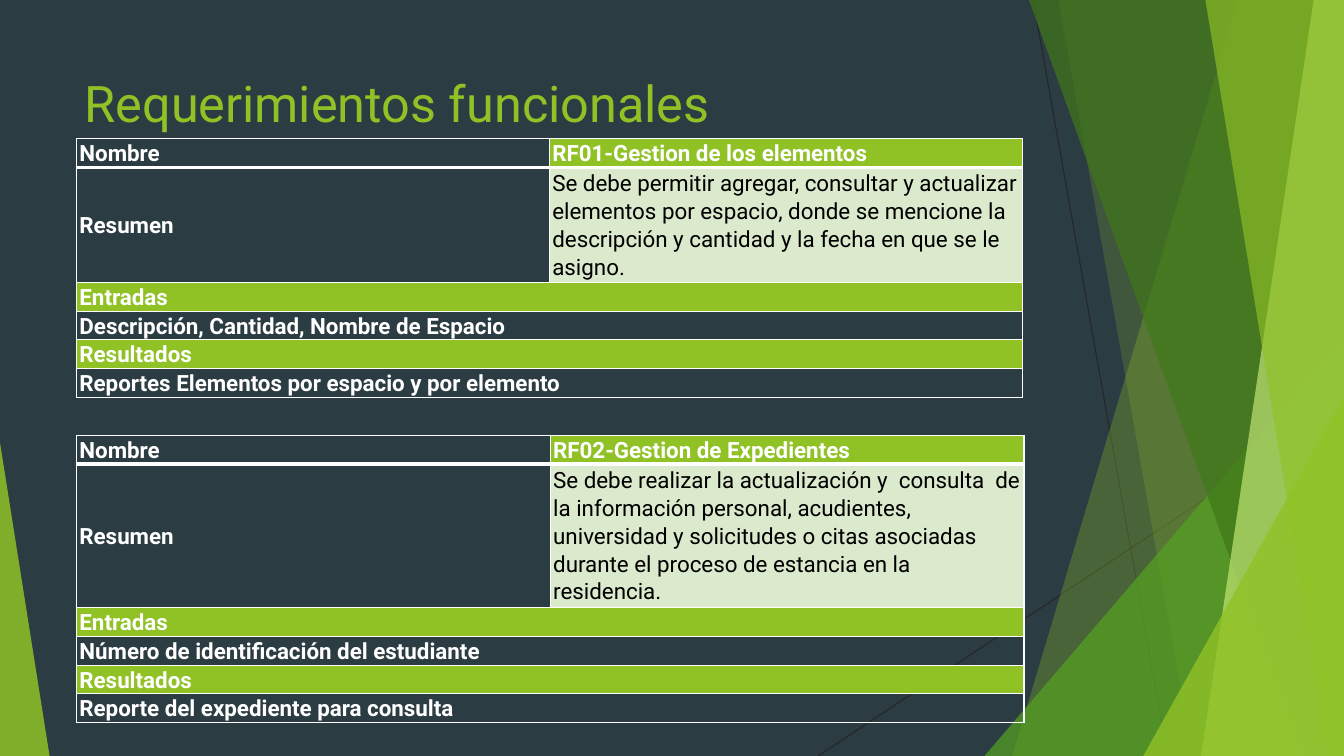
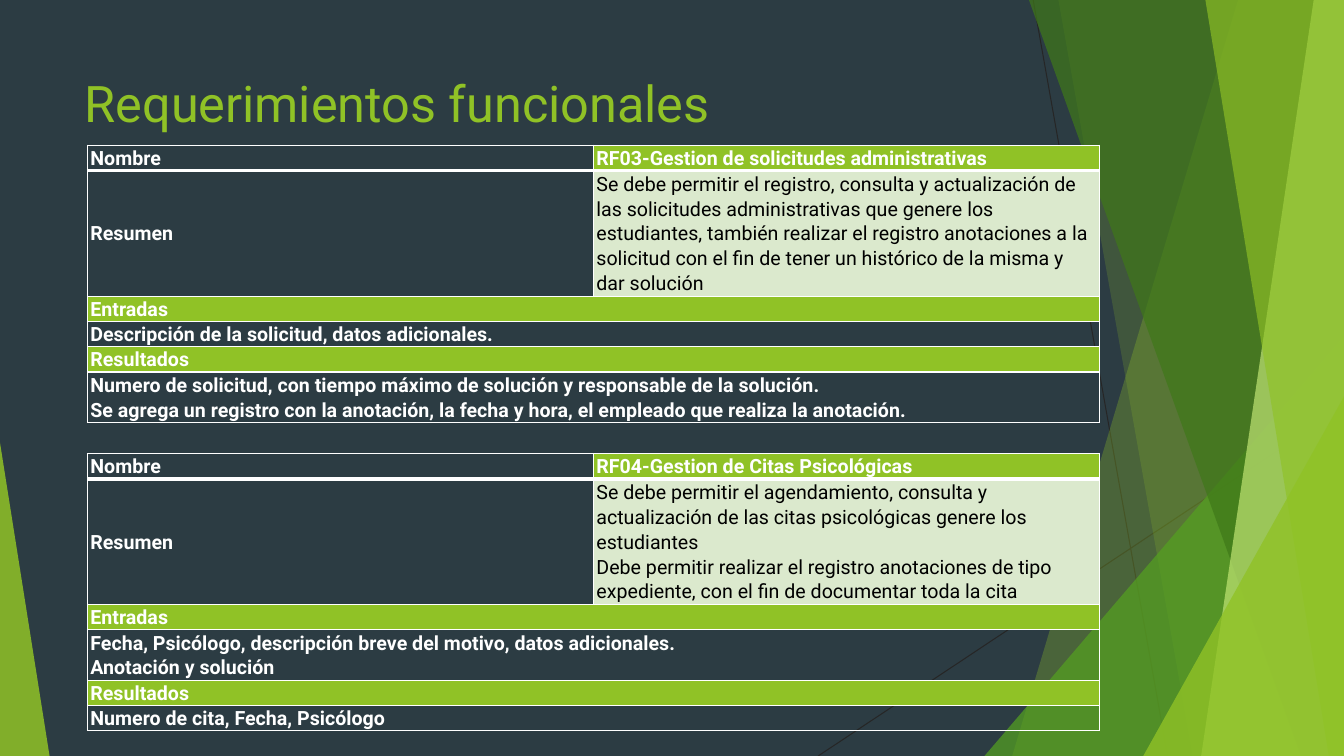
import pptx
import pptx.util
import pptx.dml.color
import pptx.enum.shapes
import pptx.enum.text
import pptx.oxml
import pptx.oxml.ns

COLS, ROWS = 160, 90            # slide grid: 12 units to the inch
UNIT = pptx.util.Inches(1) // 12
FONT = "Roboto"
DARK, GREEN, PALE = "2C3C43", "90C226", "DBE9CD"
WHITE, BLACK, HAIRLINE = "FFFFFF", "000000", "262626"
TITLE_BOX = (8.9, 8, 112.8, 8.5)
LINE_PITCH = 0.2                # grid rows per point of text size

# Facet decoration, back to front
RAYS = [((123, 0), (139, ROWS)), ((COLS, 48.4), (97.4, ROWS))]
# Bands reach the right edge: top x, bottom x, colour, opacity
# Corners: left, top, width, apex share, colour, opacity
FACETS = [
    ("band", (147.4, 120.5), GREEN, 30),
    ("band", (126, 142), GREEN, 20),
    ("corner", (117.2, 40, 42.8, 1), "54A021", 72),
    ("band", (122.5, 154.9), "3F7819", 70),
    ("band", (156.4, 143), "C0E474", 70),
    ("band", (143.5, 158.2), GREEN, 65),
    ("corner", (136.1, 47.2, 23.9, 1), GREEN, 80),
    ("corner", (0, 52.7, 5.9, 0), GREEN, 85),
]

# Each slide: text size, then its tables with box (left, top, width),
# name, summary, summary line count, inputs, results
SLIDES = [
    (16, [
        ((9.1, 16.5, 112.6), "RF01-Gestion de los elementos",
         ["Se debe permitir agregar, consultar y actualizar elementos por "
          "espacio, donde se mencione la descripción y cantidad y la fecha "
          "en que se le asigno."], 4,
         ["Descripción, Cantidad, Nombre de Espacio"],
         ["Reportes Elementos por espacio y por elemento"]),
        ((9.1, 51.8, 112.8), "RF02-Gestion de Expedientes",
         ["Se debe realizar la actualización y  consulta  de la información "
          "personal, acudientes, universidad y solicitudes o citas asociadas "
          "durante el proceso de estancia en la residencia."], 5,
         ["Número de identificación del estudiante"],
         ["Reporte del expediente para consulta"]),
    ]),
    (14, [
        ((10.4, 17.3, 120.5), "RF03-Gestion de solicitudes administrativas",
         ["Se debe permitir el registro, consulta y actualización de las "
          "solicitudes administrativas que genere los estudiantes, también "
          "realizar el registro anotaciones a la solicitud con el fin de "
          "tener un histórico de la misma y dar solución"], 5,
         ["Descripción de la solicitud, datos adicionales."],
         ["Numero de solicitud, con tiempo máximo de solución y responsable "
          "de la solución.",
          "Se agrega un registro con la anotación, la fecha y hora, el "
          "empleado que realiza la anotación."]),
        ((10.4, 54, 120.5), "RF04-Gestion de Citas Psicológicas",
         ["Se debe permitir el agendamiento, consulta y actualización de las "
          "citas psicológicas genere los estudiantes",
          "Debe permitir realizar el registro anotaciones de tipo "
          "expediente, con el fin de documentar toda la cita"], 5,
         ["Fecha, Psicólogo, descripción breve del motivo, datos "
          "adicionales.", "Anotación y solución"],
         ["Numero de cita, Fecha, Psicólogo"]),
    ]),
]


def grid(*units):
    return [pptx.util.Emu(round(u * UNIT)) for u in units]


def rgb(hex_code):
    return pptx.dml.color.RGBColor.from_string(hex_code)


def write(tf, paragraphs, size=16, color=WHITE, bold=False, spacing=None):
    for i, text in enumerate(paragraphs):
        p = tf.paragraphs[0] if i == 0 else tf.add_paragraph()
        p.line_spacing = spacing
        r = p.add_run()
        r.text = text
        r.font.name, r.font.size = FONT, pptx.util.Pt(size)
        r.font.color.rgb, r.font.bold = rgb(color), bold


def paint(sp, color, opacity):
    sp.shadow.inherit = False
    sp.fill.solid()
    sp.fill.fore_color.rgb = rgb(color)
    sp.line.fill.background()
    tint = sp.fill._xPr.find(".//" + pptx.oxml.ns.qn("a:srgbClr"))
    alpha = tint.makeelement(pptx.oxml.ns.qn("a:alpha"), {"val": str(opacity * 1000)})
    tint.append(alpha)


def draw_facets(s):
    for start, end in RAYS:
        ray = s.shapes.add_connector(pptx.enum.shapes.MSO_CONNECTOR.STRAIGHT,
                                     *grid(*start, *end))
        ray.line.color.rgb = rgb(HAIRLINE)
        ray.line.width = pptx.util.Pt(0.75)
        sp_pr = ray._element.spPr
        sp_pr.append(sp_pr.makeelement(pptx.oxml.ns.qn("a:effectLst"), {}))
    for kind, place, color, opacity in FACETS:
        if kind == "band":
            top, bottom = place
            outline = s.shapes.build_freeform(*grid(top, 0))
            outline.add_line_segments(
                [grid(COLS, 0), grid(COLS, ROWS), grid(bottom, ROWS)], close=True)
            sp = outline.convert_to_shape()
        else:
            left, top, width, apex = place
            sp = s.shapes.add_shape(
                pptx.enum.shapes.MSO_SHAPE.ISOSCELES_TRIANGLE,
                *grid(left, top, width, ROWS - top))
            sp.adjustments[0] = apex
        paint(sp, color, opacity)


def draw_title(s, text):
    tf = s.shapes.add_textbox(*grid(*TITLE_BOX)).text_frame
    tf.word_wrap = True
    write(tf, [text], size=36, color=GREEN)


def set_borders(cell, **widths):
    tc_pr = cell._tc.get_or_add_tcPr()
    for i, side in enumerate("LRTB"):
        width = pptx.util.Pt(widths.get(side, 1))
        tc_pr.insert(i, pptx.oxml.parse_xml(
            f'<a:ln{side} {pptx.oxml.ns.nsdecls("a")} w="{width}"><a:solidFill>'
            f'<a:srgbClr val="{WHITE}"/></a:solidFill></a:ln{side}>'))


def format_cell(cell, fill, **borders):
    cell.margin_left = cell.margin_right = pptx.util.Inches(0.03)
    cell.margin_top = cell.margin_bottom = 0
    cell.vertical_anchor = pptx.enum.text.MSO_ANCHOR.MIDDLE
    if fill:
        cell.fill.solid()
        cell.fill.fore_color.rgb = rgb(fill)
    else:
        cell.fill.background()
    set_borders(cell, **borders)


def draw_requirement(s, box, size, name, summary, summary_lines, inputs, results):
    left, top, width = box
    # Cells of each row as (paragraphs, fill); one cell spans both columns
    rows = [
        [(["Nombre"], None), ([name], GREEN)],
        [(["Resumen"], None), (summary, PALE)],
        [(["Entradas"], GREEN)],
        [(inputs, None)],
        [(["Resultados"], GREEN)],
        [(results, None)],
    ]
    lines = [1, summary_lines, 1, len(inputs), 1, len(results)]
    heights = [n * size * LINE_PITCH for n in lines]
    table = s.shapes.add_table(len(rows), 2,
                               *grid(left, top, width, sum(heights))).table
    table.first_row = table.horz_banding = False
    for i, cells in enumerate(rows):
        table.rows[i].height = grid(heights[i])[0]
        # Thick rule between the name and the summary
        borders = {0: {"B": 3}, 1: {"T": 3}}.get(i, {})
        for j in range(2):
            format_cell(table.cell(i, j), cells[min(j, len(cells) - 1)][1], **borders)
        if len(cells) == 1:
            table.cell(i, 0).merge(table.cell(i, 1))
        for j, (paragraphs, fill) in enumerate(cells):
            plain = fill == PALE
            write(table.cell(i, j).text_frame, paragraphs, size=size,
                  color=BLACK if plain else WHITE, bold=not plain, spacing=1.07)


def main():
    prs = pptx.Presentation()
    prs.slide_width, prs.slide_height = grid(COLS, ROWS)
    background = prs.slide_master.background.fill
    background.solid()
    background.fore_color.rgb = rgb(DARK)
    for size, requirements in SLIDES:
        s = prs.slides.add_slide(prs.slide_layouts[6])
        draw_facets(s)
        draw_title(s, "Requerimientos funcionales")
        for box, *content in requirements:
            draw_requirement(s, box, size, *content)
    prs.save("out.pptx")


if __name__ == "__main__":
    main()
